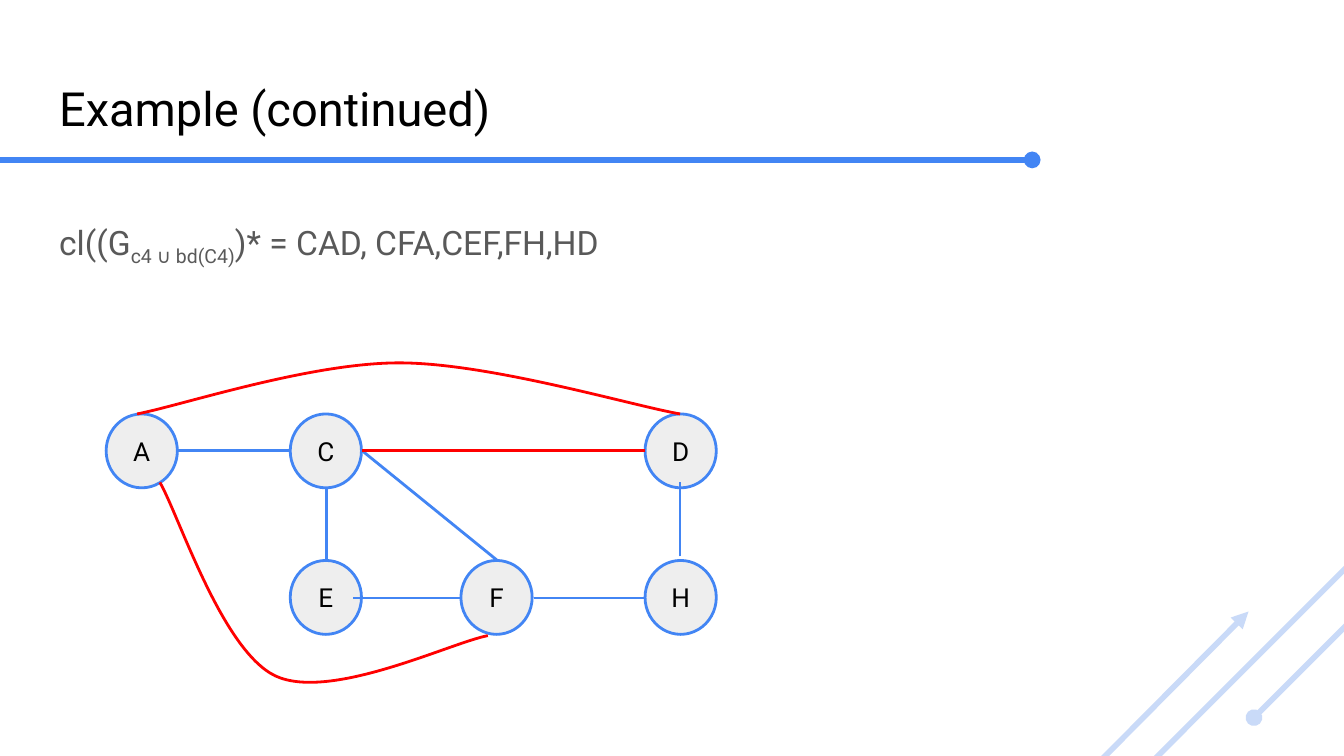
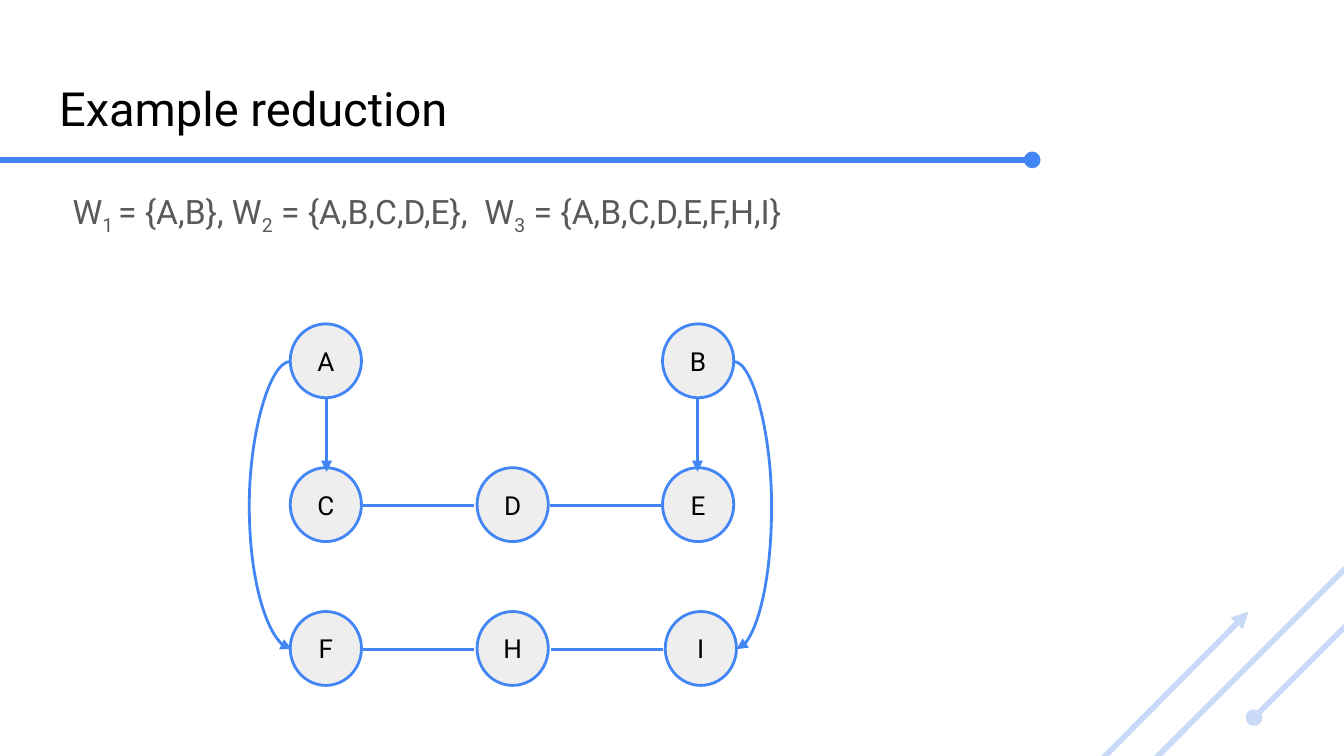
from dataclasses import dataclass

from lxml.etree import SubElement
from pptx import Presentation
from pptx.dml.color import RGBColor
from pptx.enum.shapes import MSO_CONNECTOR, MSO_SHAPE
from pptx.enum.text import MSO_ANCHOR, MSO_AUTO_SIZE, PP_ALIGN
from pptx.oxml.ns import qn
from pptx.shapes.autoshape import Shape
from pptx.shapes.connector import Connector
from pptx.slide import Slide
from pptx.text.text import TextFrame
from pptx.util import Emu, Pt

EMU_PER_PX = 9144
SLIDE_WIDTH = 1000
INSET = 10
NODE_WIDTH, NODE_HEIGHT = 53, 55
LEFT_SITE, RIGHT_SITE = 2, 6


@dataclass(frozen=True)
class Theme:
    """Colours, font and type sizes shared by the slides."""

    font: str = "Roboto"
    accent: str = "4285F4"
    pale: str = "C9DAF8"
    added: str = "FF0000"
    node: str = "EEEEEE"
    ink: str = "000000"
    muted: str = "595959"
    title_size: float = 25.2
    body_size: float = 18
    node_size: float = 14
    band_width: float = 3
    edge_width: float = 1.5


THEME = Theme()


@dataclass(frozen=True)
class Line:
    """A straight line with optional markers at its ends."""

    start: tuple[int, int]
    end: tuple[int, int]
    color: str = THEME.accent
    width: float = THEME.edge_width
    head: str = ""
    tail: str = ""


@dataclass(frozen=True)
class Node:
    """A labelled vertex of the graph."""

    label: str
    left: int
    top: int


@dataclass(frozen=True)
class Arc:
    """A curved arrow between the same side of two nodes."""

    source: str
    target: str
    site: int
    start: tuple[int, int]
    end: tuple[int, int]
    bulge: int


@dataclass(frozen=True)
class GraphSlide:
    """The content of one slide; odd formula parts are subscripts."""

    title: str
    formula: tuple[str, ...]
    formula_left: int
    formula_top: int
    formula_inset: int
    nodes: tuple[Node, ...]
    edges: tuple[Line, ...]
    arcs: tuple[Arc, ...] = ()
    added_curves: tuple[tuple[tuple[int, int], ...], ...] = ()


DECORATION = (
    Line((-8, 119), (768, 119), width=THEME.band_width, tail="oval"),
    Line((933, 534), (1042, 425), THEME.pale, THEME.band_width, head="oval"),
    Line((834, 590), (1007, 417), THEME.pale, THEME.band_width),
    Line((929, 455), (804, 581), THEME.pale, THEME.band_width, head="triangle"),
)

SLIDES = (
    GraphSlide(
        title="Example (continued)",
        formula=("cl((G", "c4 ∪ bd(C4)", ")* = CAD, CFA,CEF,FH,HD"),
        formula_left=34,
        formula_top=126,
        formula_inset=34,
        nodes=(
            Node("E", 216, 417), Node("C", 216, 308), Node("A", 79, 308),
            Node("F", 343, 417), Node("H", 480, 417), Node("D", 480, 308),
        ),
        edges=(
            Line((343, 445), (263, 445)),
            Line((480, 445), (397, 445)),
            Line((216, 335), (132, 335)),
            Line((243, 417), (243, 363)),
            Line((370, 417), (269, 335)),
            Line((506, 414), (506, 359)),
            Line((480, 335), (269, 335), THEME.added),
        ),
        added_curves=(
            ((102, 308), (134, 302), (230, 270), (297, 270),
             (364, 270), (471, 302), (506, 308)),
            ((363, 473), (336, 478), (246, 522), (205, 503),
             (165, 484), (133, 383), (119, 359)),
        ),
    ),
    GraphSlide(
        title="Example reduction",
        formula=("W", "1 ", "= {A,B}, W", "2", " = {A,B,C,D,E},  W", "3",
                 " = {A,B,C,D,E,F,H,I}"),
        formula_left=44,
        formula_top=127,
        formula_inset=INSET,
        nodes=(
            Node("F", 216, 455), Node("C", 216, 348), Node("A", 216, 241),
            Node("H", 355, 455), Node("I", 495, 455), Node("D", 355, 348),
            Node("E", 493, 348), Node("B", 493, 241),
        ),
        edges=(
            Line((353, 376), (270, 376)),
            Line((493, 376), (409, 376)),
            Line((353, 483), (270, 483)),
            Line((493, 483), (410, 483)),
            Line((243, 296), (243, 351), tail="triangle"),
            Line((519, 296), (519, 351), tail="triangle"),
        ),
        arcs=(
            Arc("A", "F", LEFT_SITE, (216, 269), (217, 483), 185),
            Arc("B", "I", RIGHT_SITE, (546, 269), (548, 483), 574),
        ),
    ),
)


def px(length: int) -> Emu:
    """Turn pixels into EMU."""
    return Emu(length * EMU_PER_PX)


def write_text(
    frame: TextFrame,
    *parts: str,
    size: float,
    color: str = THEME.ink,
    align: PP_ALIGN = PP_ALIGN.LEFT,
    anchor: MSO_ANCHOR = MSO_ANCHOR.MIDDLE,
    spacing: float = 1.0,
    inset_top: int = INSET,
) -> None:
    """Write one paragraph, setting every second part as a subscript."""
    frame.word_wrap = True
    frame.auto_size = MSO_AUTO_SIZE.NONE
    frame.vertical_anchor = anchor
    frame.margin_left = frame.margin_right = frame.margin_bottom = px(INSET)
    frame.margin_top = px(inset_top)
    paragraph = frame.paragraphs[0]
    paragraph.alignment = align
    paragraph.line_spacing = spacing
    paragraph.space_before = paragraph.space_after = Pt(0)
    properties = paragraph._p.get_or_add_pPr()
    properties.set("marL", "0")
    properties.set("indent", "0")
    SubElement(properties, qn("a:buNone"))
    for index, part in enumerate(parts):
        run = paragraph.add_run()
        run.text = part
        run.font.name = THEME.font
        run.font.size = Pt(size)
        run.font.color.rgb = RGBColor.from_string(color)
        if index % 2:
            run._r.get_or_add_rPr().set("baseline", "-25000")


def place(shape: Shape, left: int, top: int, width: int, height: int) -> None:
    """Move and size a placeholder."""
    shape.left, shape.top = px(left), px(top)
    shape.width, shape.height = px(width), px(height)


def draw_line(
    slide: Slide, line: Line, kind: MSO_CONNECTOR = MSO_CONNECTOR.STRAIGHT
) -> Connector:
    """Draw a connector with its markers and no shadow."""
    connector = slide.shapes.add_connector(
        kind, *(px(value) for value in line.start + line.end)
    )
    connector.line.color.rgb = RGBColor.from_string(line.color)
    connector.line.width = Pt(line.width)
    stroke = connector.line._get_or_add_ln()
    for tag, marker in (("a:headEnd", line.head), ("a:tailEnd", line.tail)):
        if marker:
            SubElement(stroke, qn(tag)).set("type", marker)
    SubElement(connector._element.spPr, qn("a:effectLst"))
    return connector


def draw_node(slide: Slide, node: Node) -> Shape:
    """Draw a vertex with its label."""
    vertex = slide.shapes.add_shape(
        MSO_SHAPE.OVAL, px(node.left), px(node.top), px(NODE_WIDTH), px(NODE_HEIGHT)
    )
    vertex.shadow.inherit = False
    vertex.fill.solid()
    vertex.fill.fore_color.rgb = RGBColor.from_string(THEME.node)
    vertex.line.color.rgb = RGBColor.from_string(THEME.accent)
    vertex.line.width = Pt(THEME.edge_width)
    write_text(vertex.text_frame, node.label, size=THEME.node_size, align=PP_ALIGN.CENTER)
    return vertex


def draw_arc(slide: Slide, arc: Arc, vertices: dict[str, Shape]) -> None:
    """Draw a curved arrow joined to its two nodes."""
    connector = draw_line(
        slide, Line(arc.start, arc.end, tail="triangle"), MSO_CONNECTOR.CURVE
    )
    ratio = (arc.bulge - arc.start[0]) / (arc.end[0] - arc.start[0])
    guides = next(connector._element.iter(qn("a:avLst")))
    guide = SubElement(guides, qn("a:gd"))
    guide.set("name", "adj1")
    guide.set("fmla", f"val {round(ratio * 100000)}")
    joints = connector._element.nvCxnSpPr.cNvCxnSpPr
    for tag, label in (("a:stCxn", arc.source), ("a:endCxn", arc.target)):
        joint = SubElement(joints, qn(tag))
        joint.set("id", str(vertices[label].shape_id))
        joint.set("idx", str(arc.site))


def draw_curve(slide: Slide, points: tuple[tuple[int, int], ...]) -> None:
    """Draw an added edge as a chain of cubic curves."""
    builder = slide.shapes.build_freeform(*points[0], scale=EMU_PER_PX)
    builder.add_line_segments(points[1:], close=False)
    curve = builder.convert_to_shape()
    segments = list(curve._element.iter(qn("a:lnTo")))
    outline = segments[0].getparent()
    for first in range(0, len(segments), 3):
        cubic = SubElement(outline, qn("a:cubicBezTo"))
        for segment in segments[first:first + 3]:
            cubic.append(segment[0])
            outline.remove(segment)
    curve.shadow.inherit = False
    curve.fill.background()
    curve.line.color.rgb = RGBColor.from_string(THEME.added)
    curve.line.width = Pt(THEME.edge_width)


def build_slide(presentation: Presentation, content: GraphSlide) -> None:
    """Add a slide with its heading, formula and graph."""
    slide = presentation.slides.add_slide(presentation.slide_layouts[1])
    title, body = slide.placeholders
    place(title, 34, 49, 932, 63)
    write_text(title.text_frame, content.title, size=THEME.title_size)
    place(body, content.formula_left, content.formula_top, 932, 374)
    write_text(
        body.text_frame, *content.formula, size=THEME.body_size, color=THEME.muted,
        anchor=MSO_ANCHOR.TOP, spacing=1.15, inset_top=content.formula_inset,
    )
    for line in DECORATION:
        draw_line(slide, line)
    vertices = {node.label: draw_node(slide, node) for node in content.nodes}
    for edge in content.edges:
        draw_line(slide, edge)
    for arc in content.arcs:
        draw_arc(slide, arc, vertices)
    for points in content.added_curves:
        draw_curve(slide, points)


def main() -> None:
    """Build and save the presentation in 16:9."""
    presentation = Presentation()
    presentation.slide_width = px(SLIDE_WIDTH)
    presentation.slide_height = Emu(px(SLIDE_WIDTH) * 9 // 16)
    for content in SLIDES:
        build_slide(presentation, content)
    presentation.save("out.pptx")


if __name__ == "__main__":
    main()
